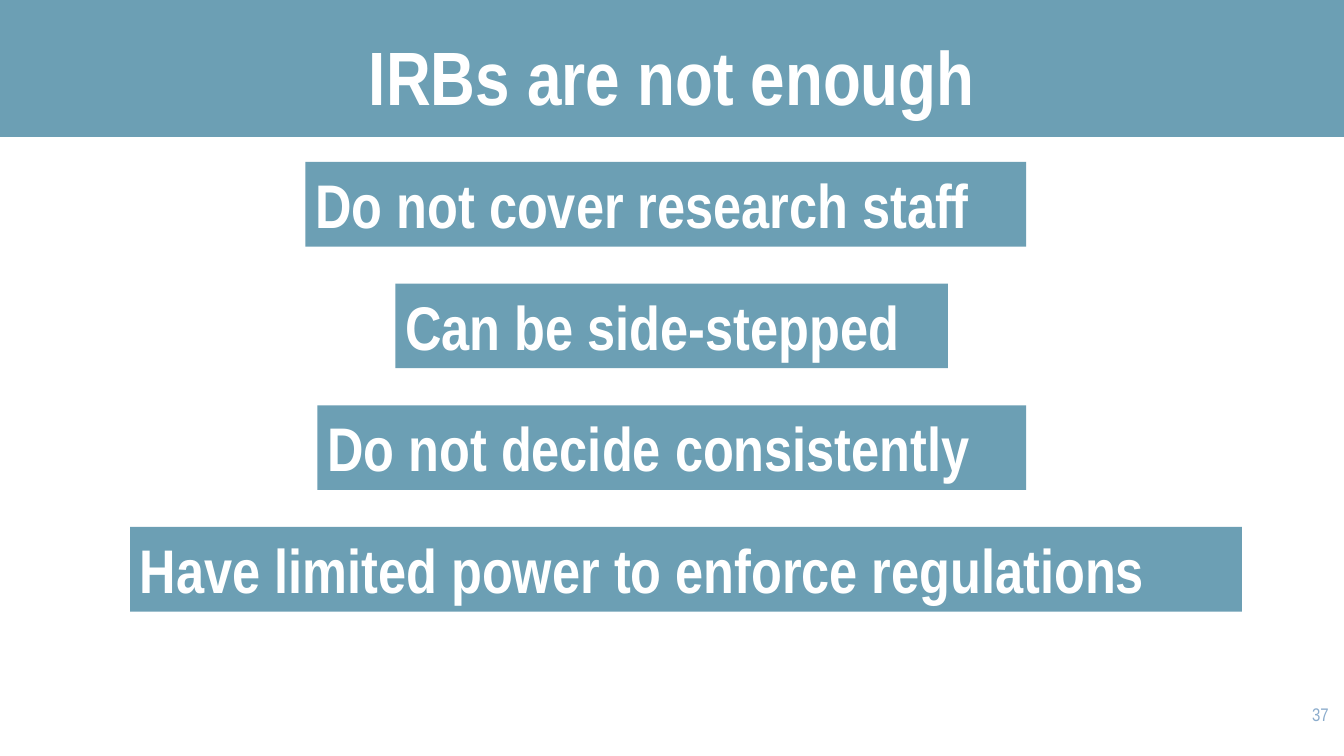
"""Build the slide on the limits of IRBs."""
from pptx import Presentation
from pptx.dml.color import RGBColor
from pptx.enum.shapes import MSO_SHAPE
from pptx.enum.text import MSO_ANCHOR, PP_ALIGN
from pptx.util import Pt

TITLE = "IRBs are not enough"
PAGE_NUMBER = "37"
LIMITS = [
    ("Do not cover research staff", 218.2, 514.8),
    ("Can be side-stepped", 282.5, 394.6),
    ("Do not decide consistently", 226.8, 506.2),
    ("Have limited power to enforce regulations", 92.9, 794.2),
]
TEAL, WHITE, PALE_BLUE = "6C9FB4", "FFFFFF", "8BACCC"
SLIDE_WIDTH, SLIDE_HEIGHT = 960, 540
BAND_WIDTH, BAND_HEIGHT = 963.4, 97.9
LIMIT_TOP, LIMIT_HEIGHT, LIMIT_STEP = 115.7, 60.5, 86.9


def paint(fill, color):
    fill.solid()
    fill.fore_color.rgb = RGBColor.from_string(color)


def write(frame, text, size, color, bold, align, anchor=MSO_ANCHOR.TOP):
    frame.text = text
    frame.word_wrap = True
    frame.vertical_anchor = anchor
    paragraph = frame.paragraphs[0]
    paragraph.alignment = align
    paragraph.line_spacing = 1.0
    font = paragraph.runs[0].font
    font.name, font.size, font.bold = "Arial Narrow", Pt(size), bold
    paint(font.fill, color)


def place(shape, left, top, width, height):
    shape.left, shape.top = Pt(left), Pt(top)
    shape.width, shape.height = Pt(width), Pt(height)


def main():
    deck = Presentation()
    deck.slide_width, deck.slide_height = Pt(SLIDE_WIDTH), Pt(SLIDE_HEIGHT)
    slide = deck.slides.add_slide(deck.slide_layouts[5])
    shapes = slide.shapes

    band = shapes.add_shape(MSO_SHAPE.RECTANGLE, 0, 0, Pt(BAND_WIDTH), Pt(BAND_HEIGHT))
    band.shadow.inherit = False
    paint(band.fill, TEAL)
    band.line.fill.background()

    title = shapes.title
    title._element.addprevious(band._element)
    place(title, 0, -7.9, SLIDE_WIDTH, BAND_HEIGHT)
    write(title.text_frame, TITLE, 54, WHITE, True, PP_ALIGN.CENTER, MSO_ANCHOR.BOTTOM)

    page = shapes.add_textbox(Pt(898.6), Pt(499), Pt(57.6), Pt(41))
    write(page.text_frame, PAGE_NUMBER, 13, PALE_BLUE, False, PP_ALIGN.RIGHT)

    for row, (limit, left, width) in enumerate(LIMITS):
        top = LIMIT_TOP + row * LIMIT_STEP
        bar = shapes.add_textbox(Pt(left), Pt(top), Pt(width), Pt(LIMIT_HEIGHT))
        paint(bar.fill, TEAL)
        write(bar.text_frame, limit, 44, WHITE, True, PP_ALIGN.LEFT)

    deck.save("out.pptx")


if __name__ == "__main__":
    main()
